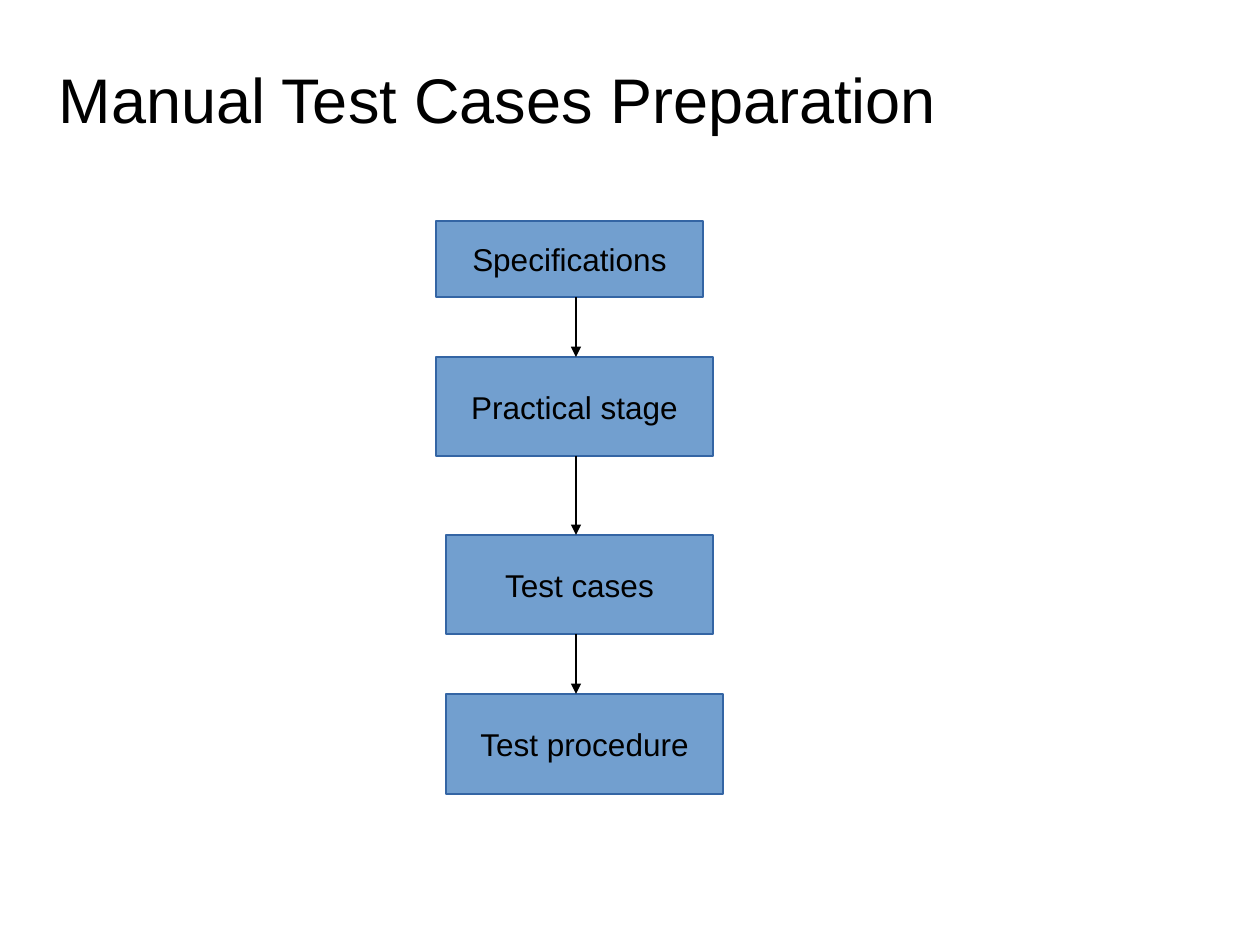
from pptx import Presentation
from pptx.dml.color import RGBColor
from pptx.enum.shapes import MSO_CONNECTOR, MSO_SHAPE
from pptx.enum.text import MSO_ANCHOR, PP_ALIGN
from pptx.oxml.ns import qn
from pptx.util import Pt
from lxml import etree

RECTANGLE = MSO_SHAPE.RECTANGLE
STRAIGHT = MSO_CONNECTOR.STRAIGHT
MIDDLE = MSO_ANCHOR.MIDDLE
CENTER = PP_ALIGN.CENTER

# Content: lengths in pixels, 126 to the inch
TITLE = ("Manual Test Cases Preparation", (-69, 20, 1133, 156))
STAGES = [
    ("Specifications", (436, 221, 267, 76)),
    ("Practical stage", (436, 357, 277, 99)),
    ("Test cases", (446, 535, 267, 99)),
    ("Test procedure", (446, 694, 277, 100)),
]
ARROW_X = 576
COLORS = {"text": "000000", "fill": "729FCF", "border": "3465A4", "arrow": "000000"}
TITLE_FRAME = {"margin_left": 0, "margin_right": 0, "margin_top": 0,
               "margin_bottom": 0, "word_wrap": True, "vertical_anchor": MIDDLE}
STAGE_FRAME = {"word_wrap": False, "vertical_anchor": MIDDLE}
LINE_WIDTH = Pt(0.75)
SCALE = 914400 // 126


def emu(*pixels):
    return [round(value * SCALE) for value in pixels]


def color(name):
    return RGBColor.from_string(COLORS[name])


def set_line(item, name):
    item.line.color.rgb = color(name)
    item.line.width = LINE_WIDTH


def write(box, text, size, frame_format):
    for name, value in frame_format.items():
        setattr(box.text_frame, name, value)
    para = box.text_frame.paragraphs[0]
    para.alignment = CENTER
    span = para.add_run()
    span.text = text
    for name, value in {"name": "Arial", "size": Pt(size)}.items():
        setattr(span.font, name, value)
    span.font.color.rgb = color("text")


deck = Presentation()
deck.slide_width, deck.slide_height = 9144000, 6858000
page = deck.slides.add_slide(deck.slide_layouts[6])

# Title
title_text, title_area = TITLE
write(page.shapes.add_textbox(*emu(*title_area)), title_text, 36, TITLE_FRAME)

# Stage boxes
for label, area in STAGES:
    box = page.shapes.add_shape(RECTANGLE, *emu(*area))
    box.shadow.inherit = False
    box.fill.solid()
    box.fill.fore_color.rgb = color("fill")
    set_line(box, "border")
    write(box, label, 18, STAGE_FRAME)

# Arrows from each stage to the next
for (_, upper), (_, lower) in zip(STAGES, STAGES[1:]):
    start = upper[1] + upper[3]
    arrow = page.shapes.add_connector(
        STRAIGHT, *emu(ARROW_X, start, ARROW_X, lower[1]))
    set_line(arrow, "arrow")
    properties = arrow.element.find(qn("p:spPr"))
    etree.SubElement(properties.find(qn("a:ln")), qn("a:tailEnd"), type="triangle")
    etree.SubElement(properties, qn("a:effectLst"))

deck.save("out.pptx")
